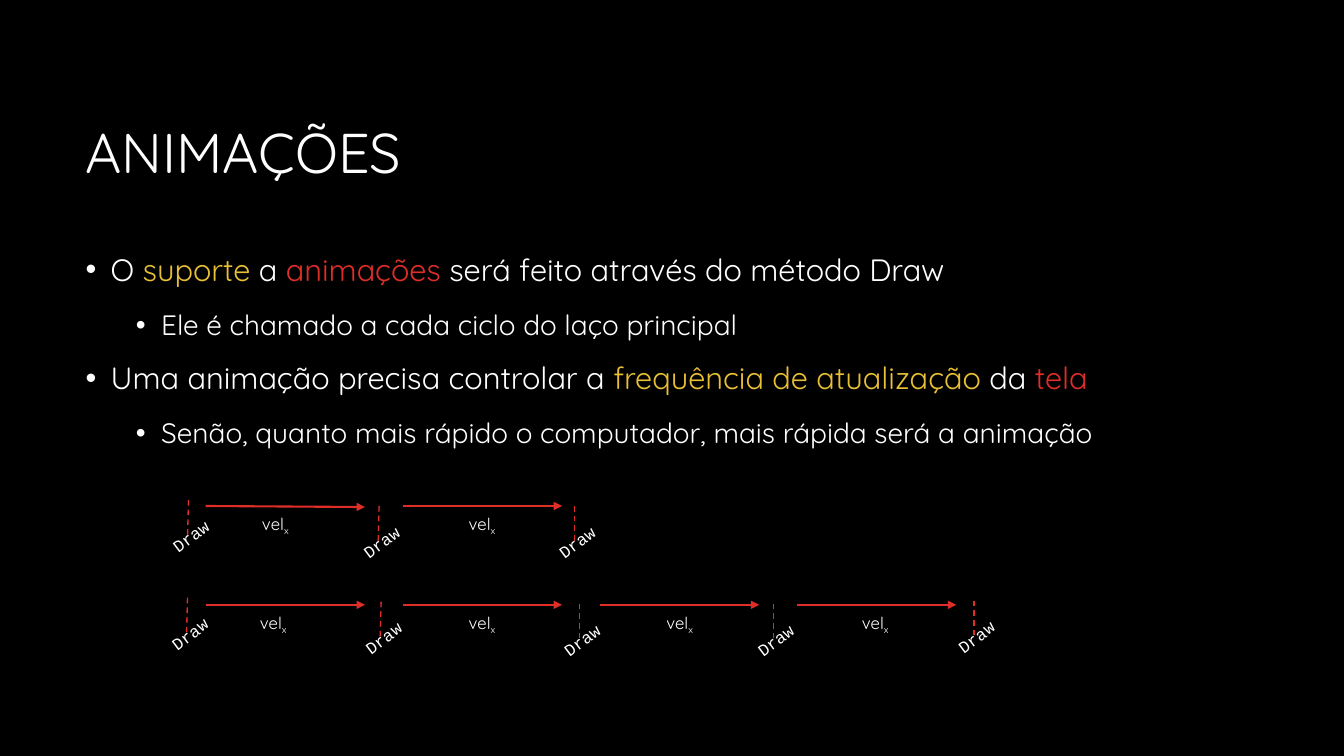
from dataclasses import dataclass

from lxml import etree
from pptx import Presentation
from pptx.dml.color import RGBColor
from pptx.enum.dml import MSO_LINE
from pptx.enum.shapes import MSO_CONNECTOR
from pptx.enum.text import MSO_ANCHOR, MSO_AUTO_SIZE
from pptx.oxml.ns import qn
from pptx.util import Inches, Pt

DASH = MSO_LINE.DASH
STRAIGHT = MSO_CONNECTOR.STRAIGHT
MIDDLE, TOP = MSO_ANCHOR.MIDDLE, MSO_ANCHOR.TOP
FIT = MSO_AUTO_SIZE.SHAPE_TO_FIT_TEXT


@dataclass(frozen=True)
class Theme:
    """Colours, fonts and type sizes of the deck."""
    back: str = "000000"
    text: str = "FFFFFF"
    gold: str = "E9BF35"
    red: str = "DF2E28"
    font: str = "Quicksand"
    code: str = "Courier New"
    title: int = 40
    main: int = 22
    sub: int = 20
    label: int = 12


THEME = Theme()


def write(par, text, size=THEME.label, color=THEME.text, font=THEME.font, base=0):
    """Add a run of text to a paragraph in the given format."""
    run = par.add_run()
    run.text = text
    run.font.size = Pt(size)
    run.font.name = font
    run.font.color.rgb = RGBColor.from_string(color)
    if base:
        run.font._element.set("baseline", str(base * 1000))


class Painter:
    """Draws the elements of the current slide in one style."""

    def __init__(self, slide, theme):
        """Keep the slide and theme, and fill the background."""
        self.slide, self.theme = slide, theme
        fill = slide.background.fill
        fill.solid()
        fill.fore_color.rgb = RGBColor.from_string(theme.back)

    def box(self, x, y, w, h, wrap=True, anchor=TOP):
        """Add a text box."""
        box = self.slide.shapes.add_textbox(Inches(x), Inches(y), Inches(w), Inches(h))
        box.text_frame.word_wrap = wrap
        box.text_frame.vertical_anchor = anchor
        if not wrap:
            box.text_frame.auto_size = FIT
        return box

    def title(self, text):
        """Add the slide title."""
        par = self.box(0.75, 0.84, 11.83, 1.41, anchor=MIDDLE).text_frame.paragraphs[0]
        par.line_spacing = 0.9
        write(par, text, size=self.theme.title)

    def bullets(self, items):
        """Add the list of (level, runs) items."""
        frame = self.box(0.75, 2.4, 11.83, 4.4).text_frame
        for i, (level, runs) in enumerate(items):
            par = frame.add_paragraph() if i else frame.paragraphs[0]
            props = par._p.get_or_add_pPr()
            props.set("marL", str(Inches(0.25 + 0.5 * level)))
            props.set("indent", str(Inches(-0.25)))
            etree.SubElement(props, qn("a:buFont")).set("typeface", "Arial")
            etree.SubElement(props, qn("a:buChar")).set("char", "•")
            par.level = level
            par.line_spacing = 1.1
            if i:
                par.space_before = Pt(12 if level else 10)
            for text, color in runs:
                size = self.theme.sub if level else self.theme.main
                write(par, text, size=size, color=color)

    def line(self, x1, y1, x2, y2, width):
        """Add a red line without shadow."""
        link = self.slide.shapes.add_connector(
            STRAIGHT, Inches(x1), Inches(y1), Inches(x2), Inches(y2))
        link.line.color.rgb = RGBColor.from_string(self.theme.red)
        link.line.width = Pt(width)
        etree.SubElement(link._element.spPr, qn("a:effectLst"))
        return link.line

    def arrow(self, x, y, rise):
        """Add an arrow for one step of motion."""
        line = self.line(x, y, x + 1.58, y + rise, 1.5)
        etree.SubElement(line._get_or_add_ln(), qn("a:tailEnd")).set("type", "triangle")

    def speed(self, x, y):
        """Add a speed label."""
        par = self.box(x, y, 0.49, 0.3, wrap=False).text_frame.paragraphs[0]
        write(par, "vel")
        write(par, "x", base=-25)

    def tick(self, x, y, lean):
        """Add a dashed tick with its slanted Draw label."""
        self.line(x, y, x - lean, y + 0.37, 1).dash_style = DASH
        box = self.box(x - 0.2, y + 0.2, 0.4, 0.47, wrap=False)
        box.rotation = 53.2
        box.text_frame._txBody.bodyPr.set("vert", "vert270")
        write(box.text_frame.paragraphs[0], "Draw", font=self.theme.code)

    def track(self, y, rises, ticks, speeds):
        """Add a row of ticks, arrows and speed labels."""
        for i, (x, top) in enumerate(ticks):
            self.tick(x, top, 0.01 if i < 2 else 0)
        for i, (x, rise) in enumerate(zip(speeds, rises)):
            self.arrow(2.04 + 1.955 * i, y, rise)
            self.speed(x, y + 0.03)


def main():
    """Build and save the slide."""
    deck = Presentation()
    deck.slide_width, deck.slide_height = Inches(13.33), Inches(7.5)
    pen = Painter(deck.slides.add_slide(deck.slide_layouts[6]), THEME)
    white, gold, red = THEME.text, THEME.gold, THEME.red
    pen.title("ANIMAÇÕES")
    pen.bullets([
        (0, [("O ", white), ("suporte", gold), (" a ", white), ("animações", red),
             (" será feito através do método Draw", white)]),
        (1, [("Ele é chamado a cada ciclo do laço principal", white)]),
        (0, [("Uma animação precisa controlar a ", white),
             ("frequência de atualização", gold), (" da ", white), ("tela", red)]),
        (1, [("Senão, quanto mais rápido o computador, mais rápida será a animação",
              white)]),
    ])
    pen.track(5.02, [0.01, 0], [(1.87, 4.96), (3.76, 5.02), (5.7, 5.02)], [2.5, 4.55])
    pen.track(6, [0, 0, 0, 0],
              [(1.86, 5.93), (3.78, 5.97), (5.75, 5.99), (7.67, 5.99), (9.66, 5.96)],
              [2.48, 4.55, 6.51, 8.45])
    deck.save("out.pptx")


if __name__ == "__main__":
    main()
